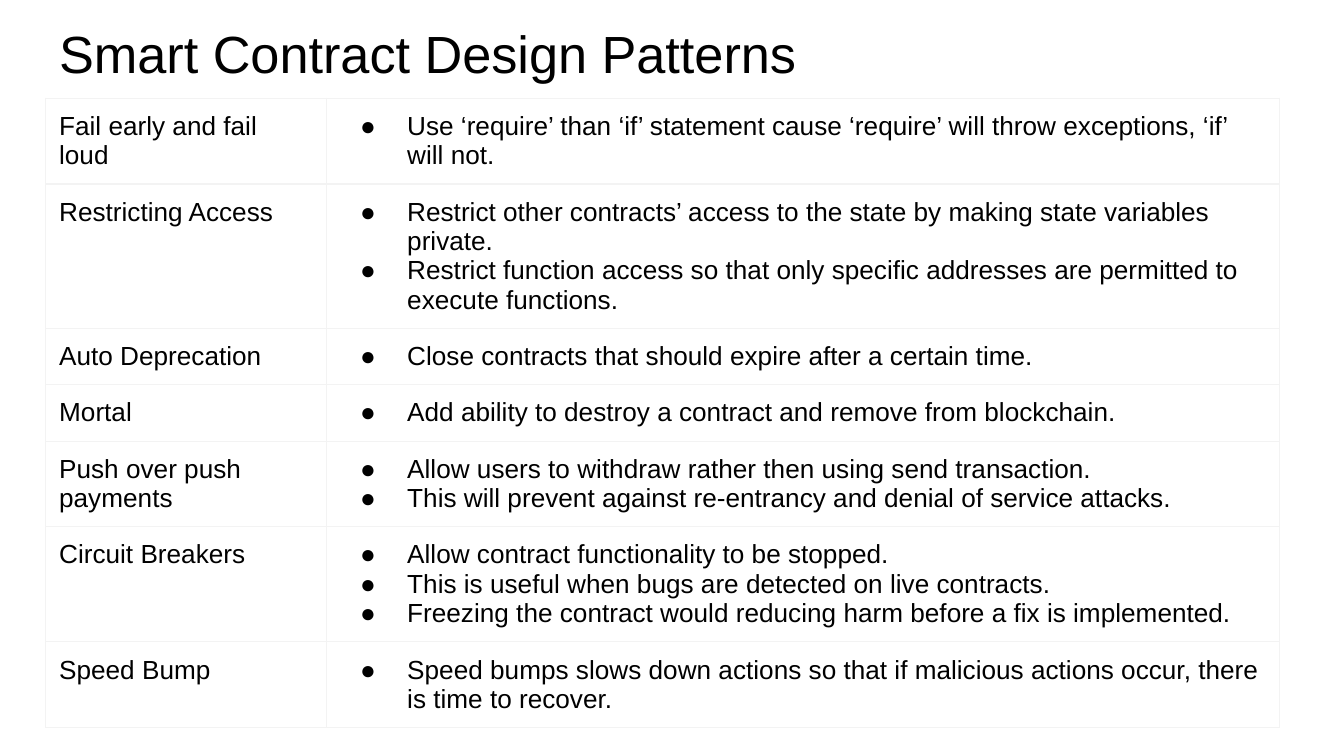
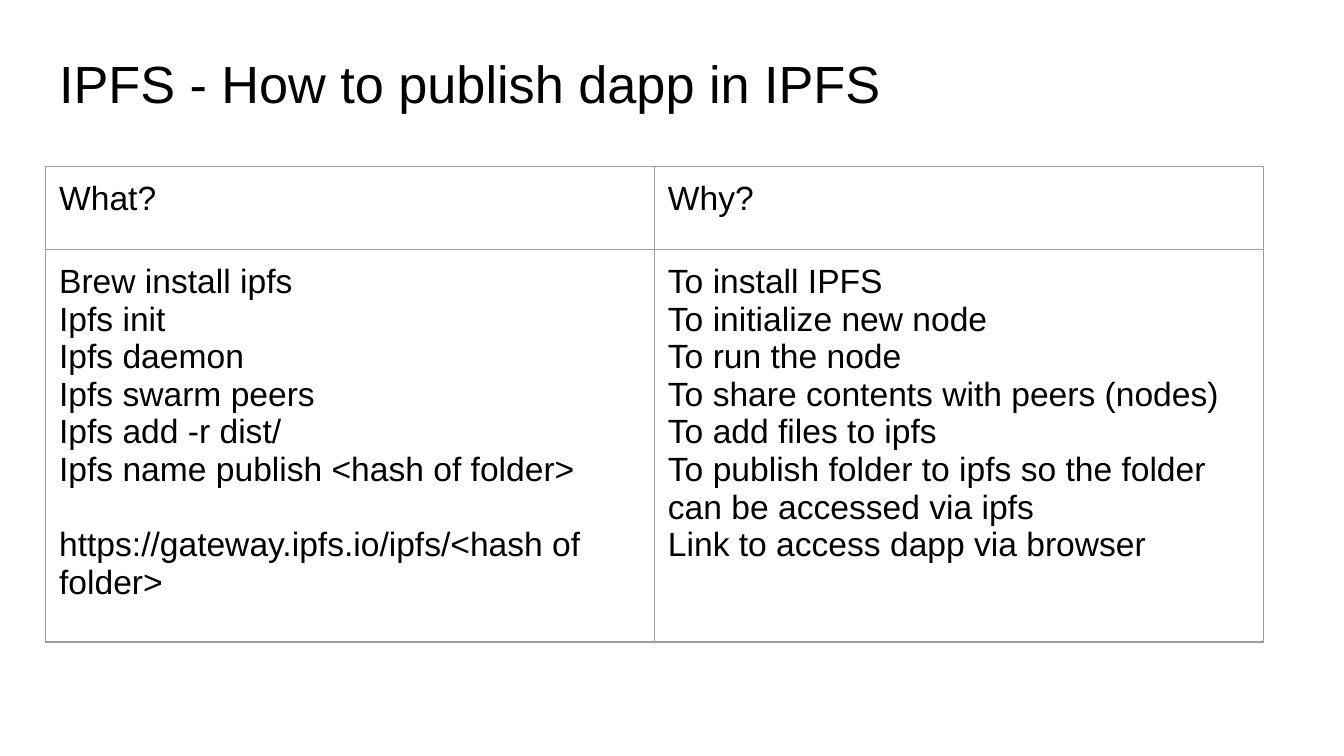
"""Build two slides that each hold a title and a plain grid of text."""
from lxml import etree
from pptx import Presentation
from pptx.dml.color import RGBColor
from pptx.enum.text import MSO_ANCHOR, MSO_AUTO_SIZE, PP_ALIGN
from pptx.oxml.ns import qn
from pptx.util import Inches, Pt

TOP, LEFT, FIXED = MSO_ANCHOR.TOP, PP_ALIGN.LEFT, MSO_AUTO_SIZE.NONE
BLACK = RGBColor(0x00, 0x00, 0x00)
WHITE = RGBColor(0xFF, 0xFF, 0xFF)
PALE = RGBColor(0xF3, 0xF3, 0xF3)
GREY = RGBColor(0x9E, 0x9E, 0x9E)
FONT = "Arial"
WIDE = Inches(10)
HIGH = WIDE * 9 // 16
EDGE = Inches(0.34)
INSET = Inches(0.1)
RULE = Pt(0.75)
LINK = "https://gateway.ipfs.io/ipfs/<hash of folder>"

PATTERNS = [
    ("Fail early and fail loud", [
        "Use ‘require’ than ‘if’ statement cause ‘require’ will throw exceptions, ‘if’ will not."]),
    ("Restricting Access", [
        "Restrict other contracts’ access to the state by making state variables private.",
        "Restrict function access so that only specific addresses are permitted to execute functions."]),
    ("Auto Deprecation", ["Close contracts that should expire after a certain time."]),
    ("Mortal", ["Add ability to destroy a contract and remove from blockchain."]),
    ("Push over push payments", [
        "Allow users to withdraw rather then using send transaction.",
        "This will prevent against re-entrancy and denial of service attacks."]),
    ("Circuit Breakers", [
        "Allow contract functionality to be stopped.",
        "This is useful when bugs are detected on live contracts.",
        "Freezing the contract would reducing harm before a fix is implemented."]),
    ("Speed Bump", [
        "Speed bumps slows down actions so that if malicious actions occur, there is time to recover."]),
]
STEPS = [
    ("Brew install ipfs", "To install IPFS"),
    ("Ipfs init", "To initialize new node"),
    ("Ipfs daemon", "To run the node"),
    ("Ipfs swarm peers", "To share contents with peers (nodes)"),
    ("Ipfs add -r dist/", "To add files to ipfs"),
    ("Ipfs name publish <hash of folder>",
     "To publish folder to ipfs so the folder can be accessed via ipfs"),
    (LINK, "Link to access dapp via browser"),
]


def style(para, size):
    """Set the shared font of a paragraph."""
    para.alignment = LEFT
    para.font.name, para.font.size = FONT, Pt(size)
    para.font.color.rgb = BLACK


def pad(item):
    """Give a cell or text frame equal insets."""
    item.margin_left = item.margin_right = INSET
    item.margin_top = item.margin_bottom = INSET
    item.vertical_anchor = TOP


def add_slide(deck, title, top):
    """Add a white slide with its title at the given share of the height."""
    slide = deck.slides.add_slide(deck.slide_layouts[5])
    slide.background.fill.solid()
    slide.background.fill.fore_color.rgb = WHITE
    head = slide.shapes.title
    head.left, head.top = EDGE, int(HIGH * top)
    head.width, head.height = WIDE - 2 * EDGE, Inches(0.63)
    frame = head.text_frame
    frame.text = title
    frame.word_wrap, frame.auto_size = True, FIXED
    pad(frame)
    style(frame.paragraphs[0], 28)
    return slide


def add_dot(para, size):
    """Put a round bullet with a hanging indent on a paragraph."""
    props = para._p.get_or_add_pPr()
    props.set("marL", str(Inches(0.5)))
    props.set("indent", str(-Inches(0.35)))
    tint = etree.SubElement(props, qn("a:buClr"))
    etree.SubElement(tint, qn("a:srgbClr"), val=str(BLACK))
    etree.SubElement(props, qn("a:buSzPts"), val=str(size * 100))
    etree.SubElement(props, qn("a:buFont"), typeface=FONT)
    etree.SubElement(props, qn("a:buChar"), char="●")


def add_rules(cell, color):
    """Draw a thin line on all four sides of a cell."""
    props = cell._tc.get_or_add_tcPr()
    for spot, side in enumerate("LRTB"):
        line = etree.Element(qn(f"a:ln{side}"), w=str(RULE))
        fill = etree.SubElement(line, qn("a:solidFill"))
        etree.SubElement(fill, qn("a:srgbClr"), val=str(color))
        props.insert(spot, line)


def fill_cell(cell, lines, size, color, dots):
    """Write lines into a clear, ruled cell."""
    cell.fill.background()
    add_rules(cell, color)
    pad(cell)
    cell.text = "\n".join(lines)
    for para, line in zip(cell.text_frame.paragraphs, lines):
        if line == LINK:
            para.space_before = Pt(20.2)
        if dots:
            add_dot(para, size)
        style(para, size)


def add_grid(slide, top, cols, rows, data, size, color, dots=()):
    """Add a table at a share of the height; dots names its bulleted columns."""
    shape = slide.shapes.add_table(
        len(rows), len(cols), EDGE, int(HIGH * top),
        Inches(sum(cols)), Inches(sum(rows)))
    table = shape.table
    table.first_row = table.horz_banding = False
    for col, width in zip(table.columns, cols):
        col.width = Inches(width)
    for row, height, texts in zip(table.rows, rows, data):
        row.height = Inches(height)
        for spot, (cell, lines) in enumerate(zip(row.cells, texts)):
            fill_cell(cell, lines, size, color, spot in dots)


def main():
    """Build and save the deck."""
    deck = Presentation()
    deck.slide_width, deck.slide_height = WIDE, HIGH

    slide = add_slide(deck, "Smart Contract Design Patterns", 0.01)
    data = [([name], notes) for name, notes in PATTERNS]
    add_grid(slide, 0.13, [2.09, 7.09], [0.42] * len(data), data, 14, PALE, dots=(1,))

    slide = add_slide(deck, "IPFS - How to publish dapp in IPFS", 0.05)
    data = [(["What?"], ["Why?"]), tuple(zip(*STEPS))]
    add_grid(slide, 0.22, [4.53, 4.53], [0.62, 2.92], data, 18, GREY)

    deck.save("out.pptx")


if __name__ == "__main__":
    main()
